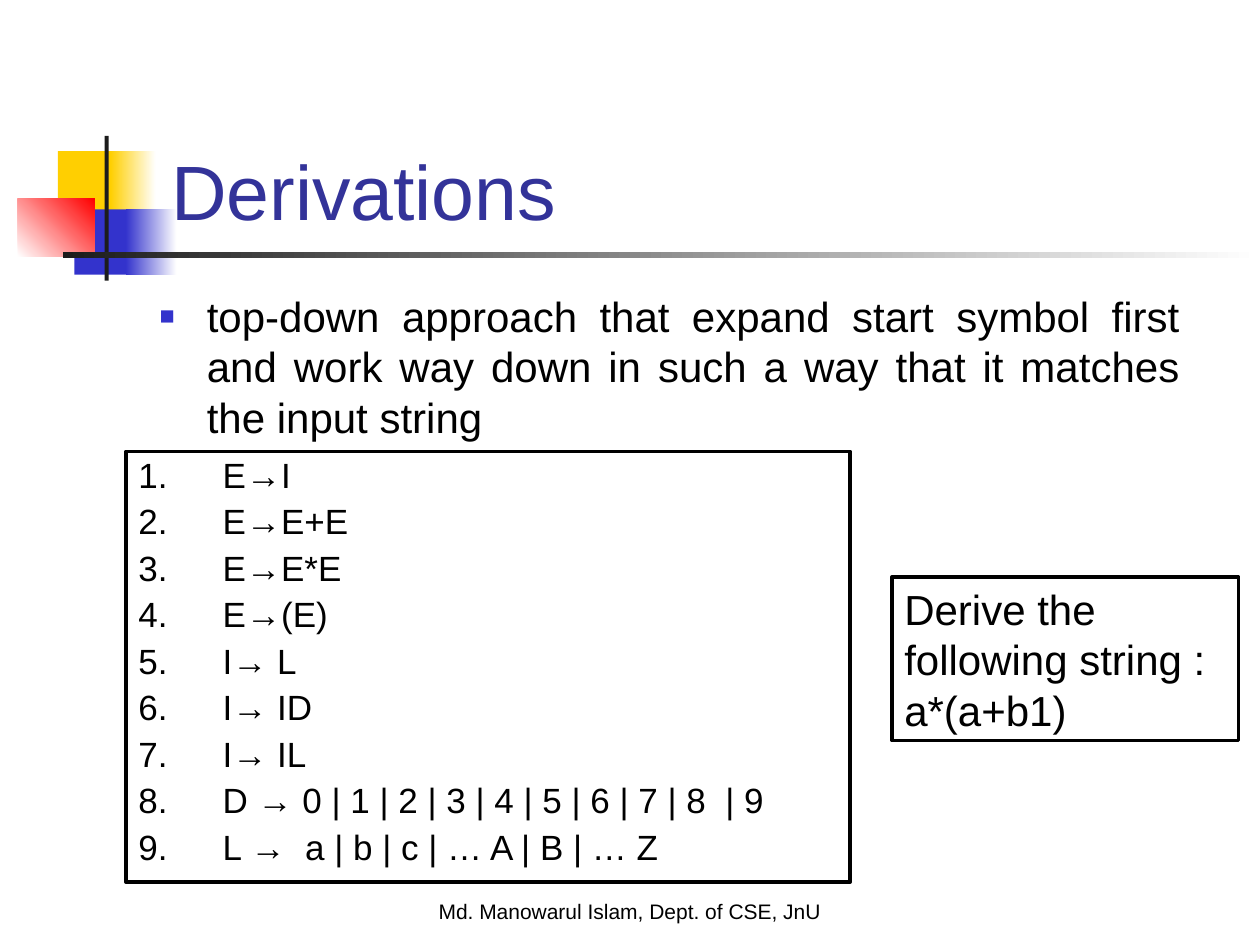
from lxml.etree import SubElement
from pptx import Presentation
from pptx.dml.color import RGBColor
from pptx.enum.shapes import MSO_SHAPE
from pptx.enum.text import MSO_ANCHOR, MSO_AUTO_SIZE, PP_ALIGN
from pptx.oxml.ns import qn
from pptx.util import Cm, Pt

BLACK = RGBColor(0, 0, 0)
WHITE = RGBColor(255, 255, 255)
DARK = RGBColor(0x1C, 0x1C, 0x1C)
GOLD = RGBColor(0xFF, 0xCF, 0x01)
BLUE = RGBColor(0x33, 0x33, 0xCC)
NAVY = RGBColor(0x33, 0x33, 0x99)
RED = RGBColor(255, 0, 0)

TITLE = ["Derivations"]
BODY = ["top-down approach that expand start symbol first and work way down "
        "in such a way that it matches the input string"]
RULES = [
    "E→I", "E→E+E", "E→E*E", "E→(E)", "I→ L", "I→ ID", "I→ IL",
    "D → 0 | 1 | 2 | 3 | 4 | 5 | 6 | 7 | 8  | 9",
    "L →  a | b | c | … A | B | … Z",
]
TASK = ["Derive the following string :", "a*(a+b1)"]
FOOTER = ["Md. Manowarul Islam, Dept. of CSE, JnU"]

# Box in cm (left, top, width, height), colours from start to end, angle
DECOR = [
    ((1.17, 3.05, 1.22, 1.32), (GOLD,), 0),
    ((2.23, 3.05, 0.91, 1.32), (GOLD, WHITE), 0),
    ((1.5, 4.22, 1.17, 1.32), (BLUE,), 0),
    ((2.54, 4.22, 1.02, 1.32), (BLUE, WHITE), 0),
    ((0.36, 4.01, 1.55, 1.17), (WHITE, RED), 45),
    ((2.11, 2.74, 0.08, 2.92), (DARK,), 0),
    ((1.27, 5.08, 24.13, 0.13), (DARK, WHITE), 0),
]
TITLE_BOX = (3.2, 1.7, 21.64, 3.18)
BODY_BOX = (2.97, 5.72, 21.06, 3.5)
RULES_BOX = (2.54, 9.1, 14.6, 8.68)
TASK_BOX = (17.98, 11.63, 6.99, 3.3)
FOOTER_BOX = (0, 17.98, 25.4, 1.27)

FRAME = {"word_wrap": True, "auto_size": MSO_AUTO_SIZE.NONE,
         "margin_left": Cm(0.25), "margin_right": Cm(0.25),
         "margin_top": Cm(0.13), "margin_bottom": Cm(0.13)}


def apply(target, values):
    for name, value in values.items():
        setattr(target, name, value)


def place(shape, box):
    sides = ("left", "top", "width", "height")
    apply(shape, dict(zip(sides, map(Cm, box))))


def write(shape, lines, size, color=BLACK, anchor=MSO_ANCHOR.TOP, **style):
    frame = shape.text_frame
    frame.text = "\n".join(lines)
    apply(frame, FRAME | {"vertical_anchor": anchor})
    for para in frame.paragraphs:
        apply(para, {"alignment": PP_ALIGN.LEFT} | style)
        apply(para.font, {"name": "Arial", "size": Pt(size)})
        para.font.color.rgb = color


def mark(shape, indent, color, parts):
    """Give each paragraph a hanging indent and a bullet or number."""
    for para in shape.text_frame.paragraphs:
        props = para._p.get_or_add_pPr()
        props.set("marL", str(Cm(indent)))
        props.set("indent", str(-Cm(indent)))
        tint = SubElement(props, qn("a:buClr"))
        SubElement(tint, qn("a:srgbClr"), val=str(color))
        for tag, values in parts:
            SubElement(props, qn(tag), values)


def add_rect(slide, box):
    shape = slide.shapes.add_shape(MSO_SHAPE.RECTANGLE, *map(Cm, box))
    shape.shadow.inherit = False
    return shape


def add_decor(slide, box, colors, angle):
    shape = add_rect(slide, box)
    shape.line.fill.background()
    if len(colors) == 1:
        shape.fill.solid()
        shape.fill.fore_color.rgb = colors[0]
        return
    shape.fill.gradient()
    shape.fill.gradient_angle = angle
    for spot, (stop, color) in enumerate(zip(shape.fill.gradient_stops, colors)):
        stop.position = spot
        stop.color.rgb = color


def add_panel(slide, box):
    shape = add_rect(slide, box)
    shape.fill.solid()
    shape.fill.fore_color.rgb = WHITE
    shape.line.color.rgb = BLACK
    shape.line.width = Pt(2)
    return shape


def main():
    deck = Presentation()
    deck.slide_width, deck.slide_height = Cm(25.4), Cm(19.05)
    slide = deck.slides.add_slide(deck.slide_layouts[1])
    title, body = slide.placeholders

    for item in DECOR:
        add_decor(slide, *item)
    footer = slide.shapes.add_textbox(*map(Cm, FOOTER_BOX))
    write(footer, FOOTER, 12, alignment=PP_ALIGN.CENTER)

    # Bring title and body in front of the decoration
    for holder, box in ((title, TITLE_BOX), (body, BODY_BOX)):
        place(holder, box)
        holder.element.getparent().append(holder.element)
    write(title, TITLE, 44, NAVY, MSO_ANCHOR.BOTTOM)
    write(body, BODY, 24, alignment=PP_ALIGN.JUSTIFY, space_before=Pt(6))
    mark(body, 0.95, BLUE, [("a:buSzPct", {"val": "60000"}),
                            ("a:buFont", {"typeface": "Arial"}),
                            ("a:buChar", {"char": "■"})])

    rules = add_panel(slide, RULES_BOX)
    write(rules, RULES, 20, line_spacing=0.9, space_before=Pt(5))
    mark(rules, 1.7, BLACK, [("a:buFont", {"typeface": "Arial"}),
                             ("a:buAutoNum", {"type": "arabicPeriod"})])
    write(add_panel(slide, TASK_BOX), TASK, 24)

    deck.save("out.pptx")


if __name__ == "__main__":
    main()
